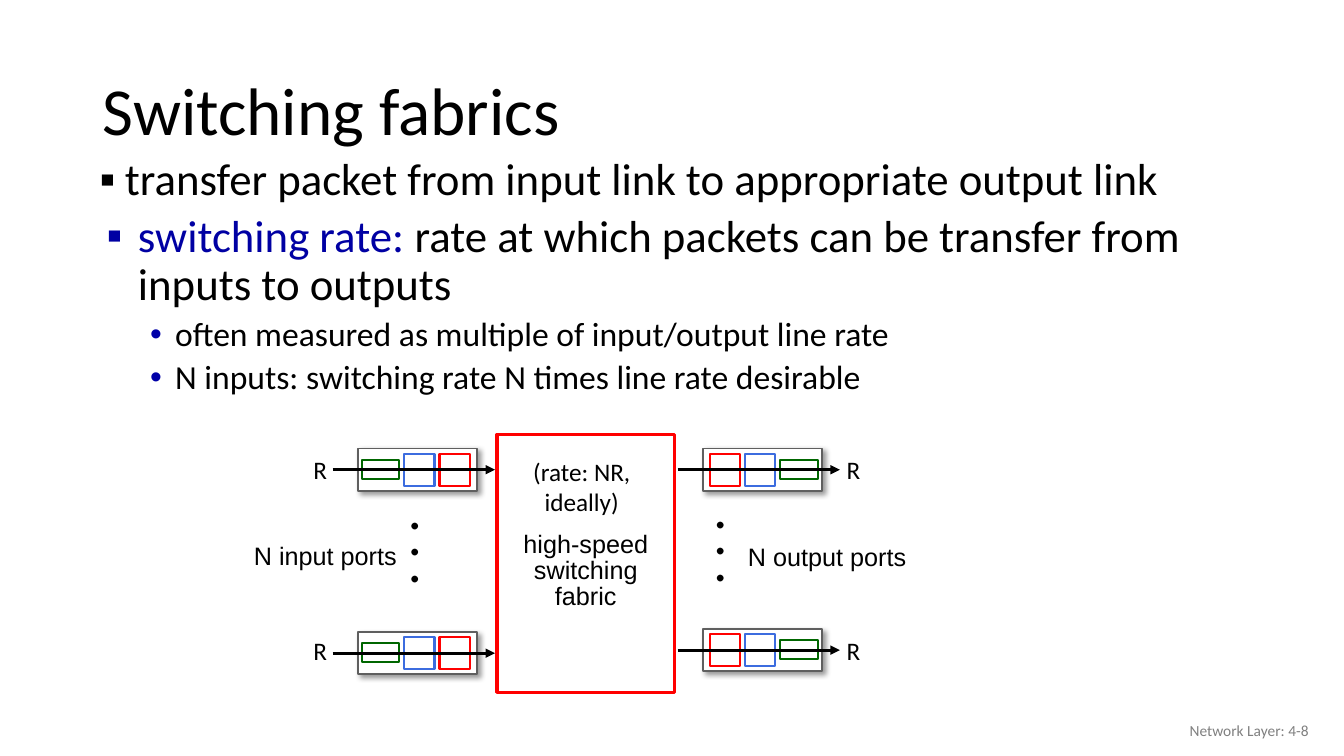
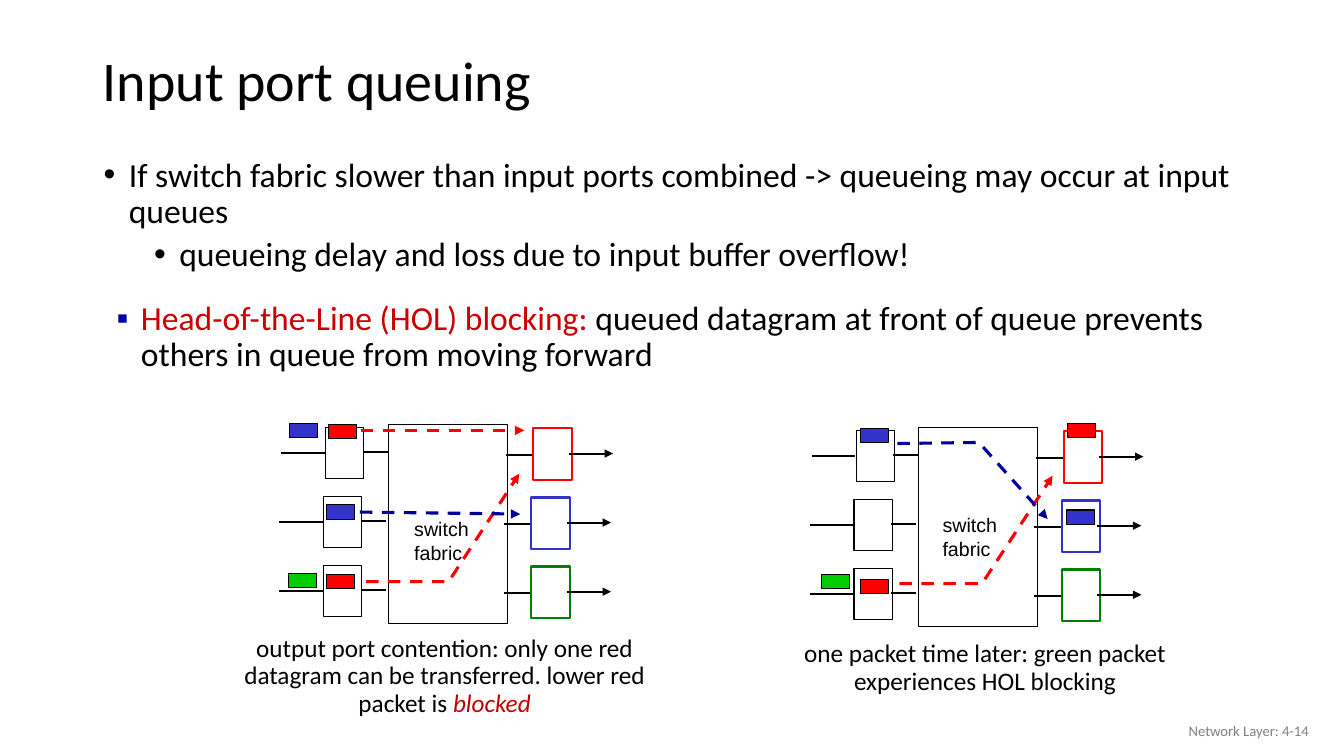
from lxml.etree import SubElement
from pptx import Presentation
from pptx.dml.color import RGBColor
from pptx.enum.dml import MSO_LINE
from pptx.enum.shapes import MSO_CONNECTOR, MSO_SHAPE
from pptx.enum.text import MSO_ANCHOR, MSO_AUTO_SIZE, PP_ALIGN
from pptx.oxml.ns import qn
from pptx.util import Inches, Pt

BLACK, WHITE, GRAY, FRAME_GRAY = "000000", "FFFFFF", "808080", "5F5F5F"
RED, BLUE, GREEN, PACKET_GREEN = "FF0000", "3333CC", "008000", "00CC00"
NAVY, SUB_NAVY, PATH_BLUE = "0000A3", "0000A8", "000099"
QUEUE_GREEN, QUEUE_BLUE = "006600", "3C6CDF"
TERM_RED, BLOCKED_RED = "CC0000", "C00000"
BODY_FONT, DIAGRAM_FONT = "Calibri", "Arial"
FOOTER_AT = (10.08, 7.05, 3, 0.4)

# Bullet: level, left margin, hanging indent, size, symbol, symbol colour, runs
FABRIC_BULLETS = [
    ((0.89, 1.51, 12.07, 0.69), [
        (0, 0.25, 0.31, 32, "▪", BLACK,
         [("transfer packet from input link to appropriate output link", BLACK)]),
    ]),
    ((0.88, 2.07, 12.07, 2.53), [
        (0, 0.39, 0.31, 32, "▪", NAVY,
         [("switching rate: ", NAVY),
          ("rate at which packets can be transfer from inputs to outputs", BLACK)]),
        (1, 0.76, 0.25, 24, "•", SUB_NAVY,
         [("often measured as multiple of input/output line rate", BLACK)]),
        (1, 0.76, 0.25, 24, "•", SUB_NAVY,
         [("N inputs: switching rate N times line rate desirable", BLACK)]),
    ]),
]
QUEUING_BULLETS = [
    ((0.93, 1.52, 11.5, 1.48), [
        (0, 0.25, 0.25, 24, "•", BLACK,
         [("If switch fabric slower than input ports combined -> "
           "queueing may occur at input queues", BLACK)]),
        (1, 0.75, 0.25, 24, "•", BLACK,
         [("queueing delay and loss due to input buffer overflow!", BLACK)]),
    ]),
    ((0.91, 2.94, 11.5, 1.08), [
        (0, 0.39, 0.24, 24, "▪", NAVY,
         [("Head-of-the-Line (HOL) blocking:", TERM_RED),
          (" queued datagram at front of queue prevents others in queue "
           "from moving forward", BLACK)]),
    ]),
]

# Input port queue: left, top, width, height within the port, and colour
PORT_WIDTH, PORT_HEIGHT = 1.18, 0.42
QUEUE = [
    (0.04, 0.11, 0.37, 0.19, QUEUE_GREEN),
    (0.46, 0.05, 0.3, 0.32, QUEUE_BLUE),
    (0.81, 0.05, 0.3, 0.32, RED),
]
# Left, top, mirrored (output side)
PORTS = [(3.55, 4.45, False), (3.55, 6.27, False),
         (6.97, 4.45, True), (6.97, 6.24, True)]
RATE_LEFTS, RATE_TOPS = (3.01, 8.3), (4.46, 6.25)
PORT_LABELS = [("N input ports", (2.42, 5.31, 1.63, 0.4)),
               ("N output ports", (7.32, 5.32, 1.79, 0.4))]
ELLIPSES = [(3.8, 5.1, 1.01, 0.77), (6.83, 5.09, 1.01, 0.77)]

# Switch parts, measured from the top left corner of the fabric
ROW_PITCH = 0.685
ROW_SHIFTS = (0.02, 0, 0)
OUTPUT_COLORS = (RED, BLUE, GREEN)
WIRES = [(-1.08, -0.65, 0.28, False), (-0.27, -0.02, 0.27, False),
         (1.15, 1.41, 0.3, False), (1.77, 2.21, 0.29, True)]
SWITCHES = [
    {
        "corner": (3.85, 4.21),
        "packets": [(3.26, 4.21, RED), (3.24, 5.01, BLUE), (3.24, 5.7, RED),
                    (2.87, 4.2, BLUE), (2.86, 5.69, PACKET_GREEN)],
        "routes": [([(3.58, 4.27), (5.2, 4.27)], RED),
                   ([(3.63, 5.77), (4.45, 5.77), (5.15, 4.7)], RED),
                   ([(3.57, 5.08), (5.16, 5.1)], PATH_BLUE)],
        "fabric_label": (4.01, 5.08, 0.75, 0.57),
        "caption_at": (1.97, 6.26, 4.88, 0.92),
        "caption": [("output port contention: only one red datagram can be "
                     "transferred. lower red packet is ", BLACK),
                    ("blocked", BLOCKED_RED, True)],
    },
    {
        "corner": (9.11, 4.24),
        "packets": [(10.59, 4.2, RED), (8.53, 4.25, BLUE), (8.53, 5.75, RED),
                    (8.15, 5.7, PACKET_GREEN), (10.58, 5.06, BLUE)],
        "routes": [([(8.92, 5.79), (9.74, 5.79), (10.44, 4.72)], RED),
                   ([(8.9, 4.4), (9.71, 4.39), (10.39, 5.15)], PATH_BLUE)],
        "fabric_label": (9.25, 5.04, 0.75, 0.57),
        "caption_at": (7.81, 6.31, 3.92, 0.65),
        "caption": [("one packet time later: green packet experiences "
                     "HOL blocking", BLACK)],
    },
]


def rgb(color):
    return RGBColor.from_string(color)


def inches(*lengths):
    return [Inches(length) for length in lengths]


def add_runs(paragraph, runs, size, font=BODY_FONT):
    for text, color, *italic in runs:
        run = paragraph.add_run()
        run.text = text
        run.font.name, run.font.size = font, Pt(size)
        run.font.color.rgb = rgb(color)
        if italic:
            run.font.italic = True


def add_label(slide, at, lines, size=18, font=BODY_FONT, align=PP_ALIGN.LEFT,
              spacing=None, wrap=True):
    """Text box with one paragraph for each list of runs in lines."""
    label = slide.shapes.add_textbox(*inches(*at))
    frame = label.text_frame
    frame.word_wrap = wrap
    if not wrap:
        frame.auto_size = MSO_AUTO_SIZE.SHAPE_TO_FIT_TEXT
    for index, runs in enumerate(lines):
        paragraph = frame.add_paragraph() if index else frame.paragraphs[0]
        paragraph.alignment = align
        if spacing:
            paragraph.line_spacing = spacing
        add_runs(paragraph, runs, size, font)
    return label


def add_bullets(slide, at, bullets):
    frame = slide.shapes.add_textbox(*inches(*at)).text_frame
    frame.word_wrap = True
    for index, (level, margin, hang, size, symbol, color, runs) in enumerate(bullets):
        paragraph = frame.add_paragraph() if index else frame.paragraphs[0]
        paragraph.level = level
        paragraph.line_spacing = 0.9
        if index:
            paragraph.space_before = Pt(5 if level else 10)
        properties = paragraph._p.get_or_add_pPr()
        properties.set("marL", str(Inches(margin)))
        properties.set("indent", str(-Inches(hang)))
        symbol_color = SubElement(properties, qn("a:buClr"))
        SubElement(symbol_color, qn("a:srgbClr"), val=color)
        SubElement(properties, qn("a:buFont"), typeface=DIAGRAM_FONT)
        SubElement(properties, qn("a:buChar"), char=symbol)
        add_runs(paragraph, runs, size)


def add_box(slide, at, line_color, line_width, fill=WHITE):
    box = slide.shapes.add_shape(MSO_SHAPE.RECTANGLE, *inches(*at))
    box.shadow.inherit = False
    box.fill.solid()
    box.fill.fore_color.rgb = rgb(fill)
    box.line.color.rgb = rgb(line_color)
    box.line.width = Pt(line_width)
    return box


def cast_shadow(box):
    effects = box.element.spPr.find(qn("a:effectLst"))
    shadow = SubElement(effects, qn("a:outerShdw"), blurRad=str(Pt(4)),
                        dist=str(Pt(3)), dir="2700000", algn="tl", rotWithShape="0")
    color = SubElement(shadow, qn("a:srgbClr"), val=BLACK)
    SubElement(color, qn("a:alpha"), val="40000")


def add_route(slide, points, color=BLACK, width=1.5, arrow=True, dashed=False):
    """Straight connector for two points, open outline for more."""
    corners = [tuple(inches(*point)) for point in points]
    if len(corners) == 2:
        route = slide.shapes.add_connector(MSO_CONNECTOR.STRAIGHT, *corners[0], *corners[1])
    else:
        builder = slide.shapes.build_freeform(*corners[0])
        builder.add_line_segments(corners[1:], close=False)
        route = builder.convert_to_shape()
        route.fill.background()
        route.shadow.inherit = False
    route.line.color.rgb = rgb(color)
    route.line.width = Pt(width)
    if dashed:
        route.line.dash_style = MSO_LINE.DASH
    properties = route.element.spPr
    if arrow:
        SubElement(properties.find(qn("a:ln")), qn("a:tailEnd"), type="triangle")
    if len(corners) == 2:
        SubElement(properties, qn("a:effectLst"))


def add_slide(deck, title, title_at, title_size, number, number_size, bullet_boxes):
    slide = deck.slides.add_slide(deck.slide_layouts[5])
    heading = slide.shapes.title
    heading.left, heading.top, heading.width, heading.height = inches(*title_at)
    frame = heading.text_frame
    frame.auto_size = MSO_AUTO_SIZE.NONE
    frame.vertical_anchor = MSO_ANCHOR.MIDDLE
    paragraph = frame.paragraphs[0]
    paragraph.alignment = PP_ALIGN.LEFT
    paragraph.line_spacing = 0.9
    add_runs(paragraph, [(title, BLACK)], title_size)
    for at, bullets in bullet_boxes:
        add_bullets(slide, at, bullets)
    footer = add_label(slide, FOOTER_AT, [[(f"Network Layer: 4-{number}", GRAY)]],
                       number_size, align=PP_ALIGN.RIGHT)
    footer.text_frame.vertical_anchor = MSO_ANCHOR.MIDDLE
    return slide


def add_port(slide, left, top, mirrored):
    cast_shadow(add_box(slide, (left, top, PORT_WIDTH, PORT_HEIGHT), FRAME_GRAY, 1.25))
    for x, y, width, height, color in QUEUE:
        if mirrored:
            x = PORT_WIDTH - x - width
        add_box(slide, (left + x, top + y, width, height), color, 1.5)
    middle = top + PORT_HEIGHT / 2
    add_route(slide, [(left - 0.25, middle), (left + 1.36, middle)], width=2.25)


def draw_fabric(slide):
    add_box(slide, (4.93, 4.31, 1.76, 2.56), RED, 2.25)
    add_label(slide, (5.05, 5.24, 1.52, 0.87),
              [[(word, BLACK)] for word in ("high-speed", "switching", "fabric")],
              font=DIAGRAM_FONT, align=PP_ALIGN.CENTER, spacing=0.85, wrap=False)
    add_label(slide, (5.04, 4.48, 1.46, 0.71), [[("(rate: NR, ideally)", BLACK)]],
              align=PP_ALIGN.CENTER)
    for port in PORTS:
        add_port(slide, *port)
    for text, at in PORT_LABELS:
        add_label(slide, at, [[(text, BLACK)]], font=DIAGRAM_FONT, wrap=False)
    for at in ELLIPSES:
        add_label(slide, at, [[(". . .", BLACK)]], 40, align=PP_ALIGN.CENTER).rotation = 90
    for left in RATE_LEFTS:
        for top in RATE_TOPS:
            add_label(slide, (left, top, 0.34, 0.4), [[("R", BLACK)]], wrap=False)


def draw_switch(slide, switch):
    left, top = switch["corner"]
    add_box(slide, (left, top, 1.18, 1.98), BLACK, 0.75)
    for row, (shift, output_color) in enumerate(zip(ROW_SHIFTS, OUTPUT_COLORS)):
        x, y = left + shift, top + row * ROW_PITCH
        add_box(slide, (x - 0.64, y + 0.03, 0.38, 0.51), BLACK, 0.75)
        add_box(slide, (x + 1.42, y + 0.04, 0.38, 0.51), output_color, 1.5)
        for start, end, drop, arrow in WIRES:
            add_route(slide, [(x + start, y + drop), (x + end, y + drop)], arrow=arrow)
    for x, y, color in switch["packets"]:
        add_box(slide, (x, y, 0.28, 0.14), BLACK, 0.75, fill=color)
    for points, color in switch["routes"]:
        add_route(slide, points, color, 2.25, dashed=True)
    add_label(slide, switch["fabric_label"], [[("switch", BLACK)], [("fabric", BLACK)]],
              14, DIAGRAM_FONT, wrap=False)
    add_label(slide, switch["caption_at"], [switch["caption"]],
              align=PP_ALIGN.CENTER, spacing=0.9)


def main():
    deck = Presentation()
    deck.slide_width, deck.slide_height = inches(13.33, 7.5)
    draw_fabric(add_slide(deck, "Switching fabrics", (0.92, 0.4, 11.5, 1.45), 48,
                          8, 11, FABRIC_BULLETS))
    queuing = add_slide(deck, "Input port queuing", (0.92, 0.34, 11.5, 0.98), 40,
                        14, 10.5, QUEUING_BULLETS)
    for switch in SWITCHES:
        draw_switch(queuing, switch)
    deck.save("out.pptx")


if __name__ == "__main__":
    main()
